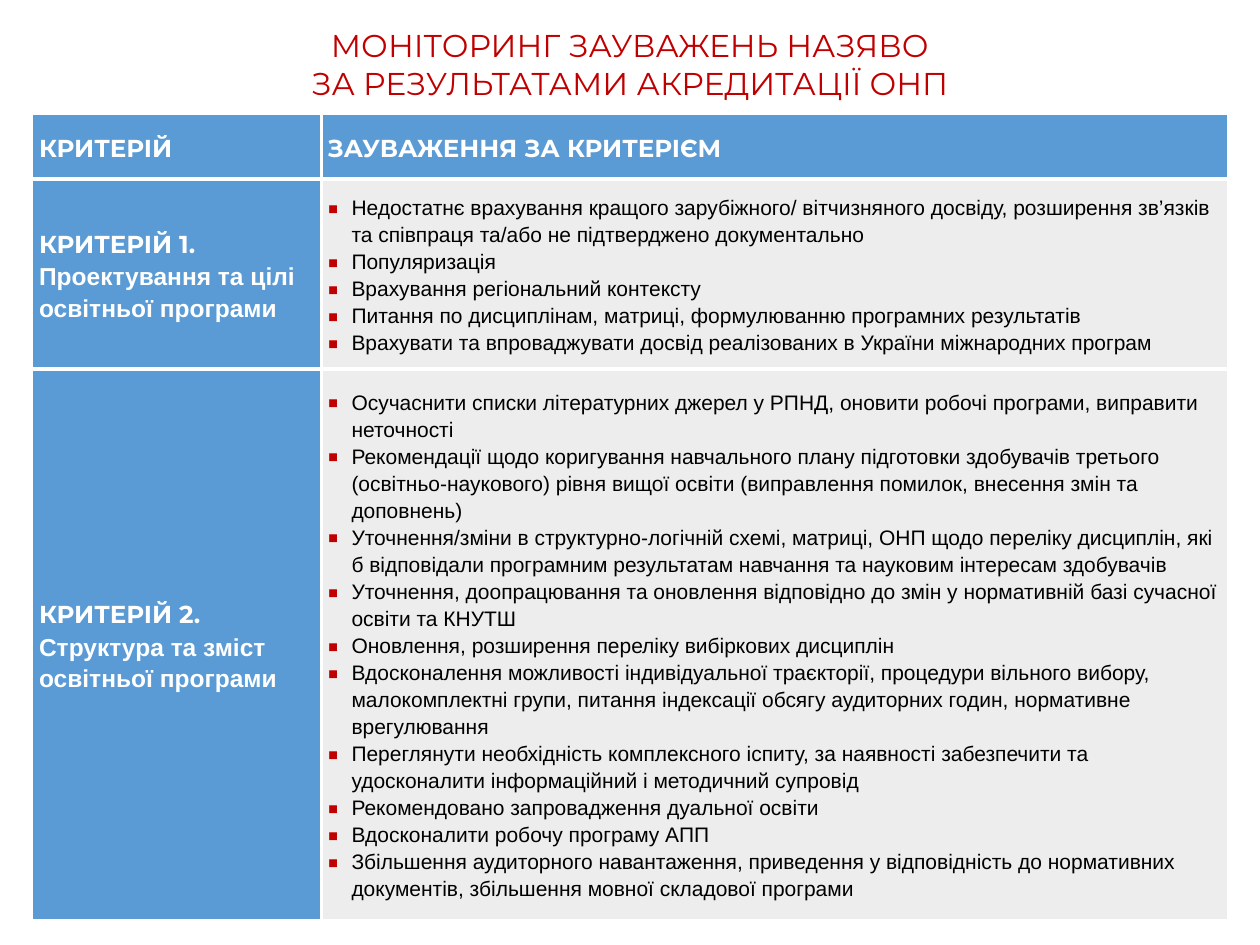
from lxml import etree
from pptx import Presentation
from pptx.dml.color import RGBColor
from pptx.enum.text import MSO_ANCHOR, MSO_AUTO_SIZE, PP_ALIGN
from pptx.oxml.ns import qn
from pptx.util import Inches, Pt

MIDDLE = MSO_ANCHOR.MIDDLE
GROW = MSO_AUTO_SIZE.SHAPE_TO_FIT_TEXT
CENTER = PP_ALIGN.CENTER

COLORS = {"red": "C00000", "blue": "5B9BD5", "gray": "EDEDED",
          "white": "FFFFFF", "black": "000000"}
FORMATS = {
    "title": {"name": "Montserrat", "size": Pt(18), "color": "red"},
    "head": {"name": "Montserrat", "size": Pt(14), "bold": True, "color": "white"},
    "topic": {"name": "Arial", "size": Pt(14), "bold": True, "color": "white"},
    "remark": {"name": "Arial", "size": Pt(12), "bold": False, "color": "black"},
}
LEFT, WIDTH = 0.26, 9.48
COLS = [2.29, 7.19]
ROWS = [0.51, 1.51, 4.37]
INNER, OUTER = 2.21, 0.45

TITLE = ["МОНІТОРИНГ ЗАУВАЖЕНЬ НАЗЯВО", "ЗА РЕЗУЛЬТАТАМИ АКРЕДИТАЦІЇ ОНП"]
HEADERS = ["КРИТЕРІЙ", "ЗАУВАЖЕННЯ ЗА КРИТЕРІЄМ"]
CRITERIA = [
    ("КРИТЕРІЙ 1.", "Проектування та цілі освітньої програми", [
        "Недостатнє врахування кращого зарубіжного/ вітчизняного досвіду, розширення зв’язків та співпраця та/або не підтверджено документально",
        "Популяризація",
        "Врахування регіональний контексту",
        "Питання по дисциплінам, матриці, формулюванню програмних результатів",
        "Врахувати та впроваджувати досвід реалізованих в України міжнародних програм",
    ]),
    ("КРИТЕРІЙ 2.", "Структура та зміст освітньої програми", [
        "Осучаснити списки літературних джерел у РПНД, оновити робочі програми, виправити неточності",
        "Рекомендації щодо коригування навчального плану підготовки здобувачів третього (освітньо-наукового) рівня вищої освіти (виправлення помилок, внесення змін та доповнень)",
        "Уточнення/зміни в структурно-логічній схемі, матриці, ОНП щодо переліку дисциплін, які б відповідали програмним результатам навчання та науковим інтересам здобувачів",
        "Уточнення, доопрацювання та оновлення відповідно до змін у нормативній базі сучасної освіти та КНУТШ",
        "Оновлення, розширення переліку вибіркових дисциплін",
        "Вдосконалення можливості індивідуальної траєкторії, процедури вільного вибору, малокомплектні групи, питання індексації обсягу аудиторних годин, нормативне врегулювання",
        "Переглянути необхідність комплексного іспиту, за наявності забезпечити та удосконалити інформаційний і методичний супровід",
        "Рекомендовано запровадження дуальної освіти",
        "Вдосконалити робочу програму АПП",
        "Збільшення аудиторного навантаження, приведення у відповідність до нормативних документів, збільшення мовної складової програми",
    ]),
]


class Deck:
    def __init__(self, width, height):
        self.prs = Presentation()
        self.prs.slide_width, self.prs.slide_height = Inches(width), Inches(height)
        self.s = self.prs.slides.add_slide(self.prs.slide_layouts[6])

    def run(self, p, text, style):
        r = p.add_run()
        r.text = text
        for key, value in FORMATS[style].items():
            if key == "color":
                r.font.color.rgb = RGBColor.from_string(COLORS[value])
            else:
                setattr(r.font, key, value)

    def paragraphs(self, tf, lines, style):
        for i, line in enumerate(lines):
            p = tf.add_paragraph() if i else tf.paragraphs[0]
            self.run(p, line, style)
            yield p

    def title(self, x, y, w, h, lines):
        tf = self.s.shapes.add_textbox(*map(Inches, (x, y, w, h))).text_frame
        tf.word_wrap, tf.auto_size = True, GROW
        for p in self.paragraphs(tf, lines, "title"):
            p.alignment = CENTER

    def table(self, x, y, cols, rows):
        box = map(Inches, (x, y, sum(cols), sum(rows)))
        table = self.s.shapes.add_table(len(rows), len(cols), *box).table
        for col, width in zip(table.columns, cols):
            col.width = Inches(width)
        for row, height in zip(table.rows, rows):
            row.height = Inches(height)
        for i in range(len(rows)):
            for j in range(len(cols)):
                widths = {"L": INNER if j else OUTER,
                          "R": INNER if j < len(cols) - 1 else OUTER,
                          "T": INNER if i else OUTER,
                          "B": INNER if i < len(rows) - 1 else OUTER}
                self.cell(table.cell(i, j), widths, "gray" if i and j else "blue")
        return table

    def cell(self, cell, widths, fill):
        tcPr = cell._tc.get_or_add_tcPr()
        for side, width in widths.items():
            ln = etree.SubElement(tcPr, qn(f"a:ln{side}"), w=str(Pt(width)))
            solid = etree.SubElement(ln, qn("a:solidFill"))
            etree.SubElement(solid, qn("a:srgbClr"), val=COLORS["white"])
        cell.fill.solid()
        cell.fill.fore_color.rgb = RGBColor.from_string(COLORS[fill])
        cell.vertical_anchor = MIDDLE
        for side in ("left", "top", "right", "bottom"):
            setattr(cell, f"margin_{side}", Inches(0.05))

    def label(self, cell, head, topic=None):
        p = cell.text_frame.paragraphs[0]
        p.line_spacing = 1.15
        self.run(p, head, "head")
        if topic:
            p.add_line_break()
            self.run(p, topic, "topic")

    def bullets(self, cell, lines):
        for p in self.paragraphs(cell.text_frame, lines, "remark"):
            p.line_spacing = 1.15
            pPr = p._p.get_or_add_pPr()
            pPr.set("marL", str(Inches(0.19)))
            pPr.set("indent", str(Inches(-0.19)))
            color = etree.SubElement(pPr, qn("a:buClr"))
            etree.SubElement(color, qn("a:srgbClr"), val=COLORS["red"])
            etree.SubElement(pPr, qn("a:buSzPct"), val="150000")
            etree.SubElement(pPr, qn("a:buFont"), typeface="Arial")
            etree.SubElement(pPr, qn("a:buChar"), char="▪")


def main():
    deck = Deck(10, 7.5)
    table = deck.table(LEFT, 0.91, COLS, ROWS)
    for j, header in enumerate(HEADERS):
        deck.label(table.cell(0, j), header)
    for i, (head, topic, remarks) in enumerate(CRITERIA, 1):
        deck.label(table.cell(i, 0), head, topic)
        deck.bullets(table.cell(i, 1), remarks)
    deck.title(LEFT, 0.16, WIDTH, 0.7, TITLE)
    deck.prs.save("out.pptx")


if __name__ == "__main__":
    main()
